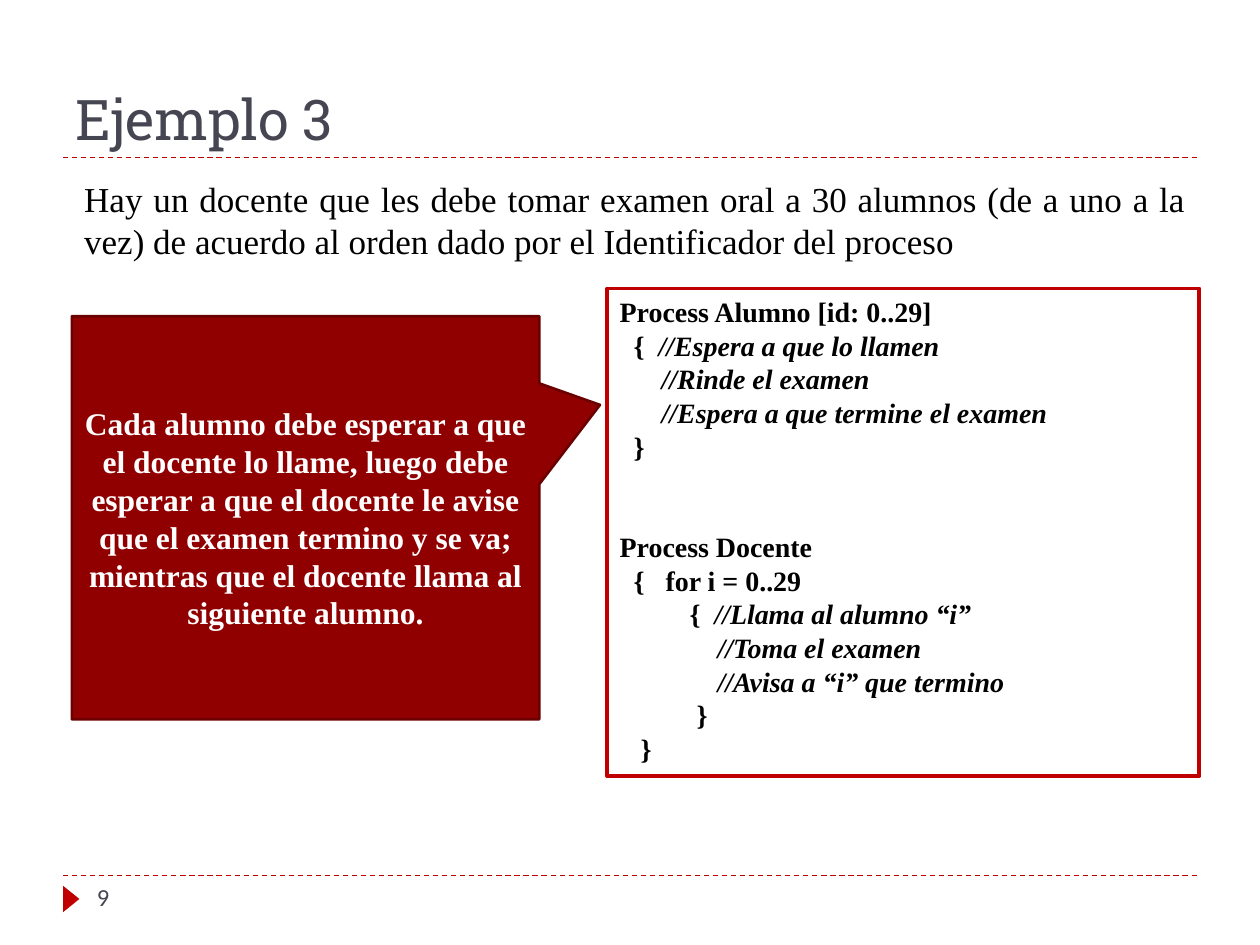
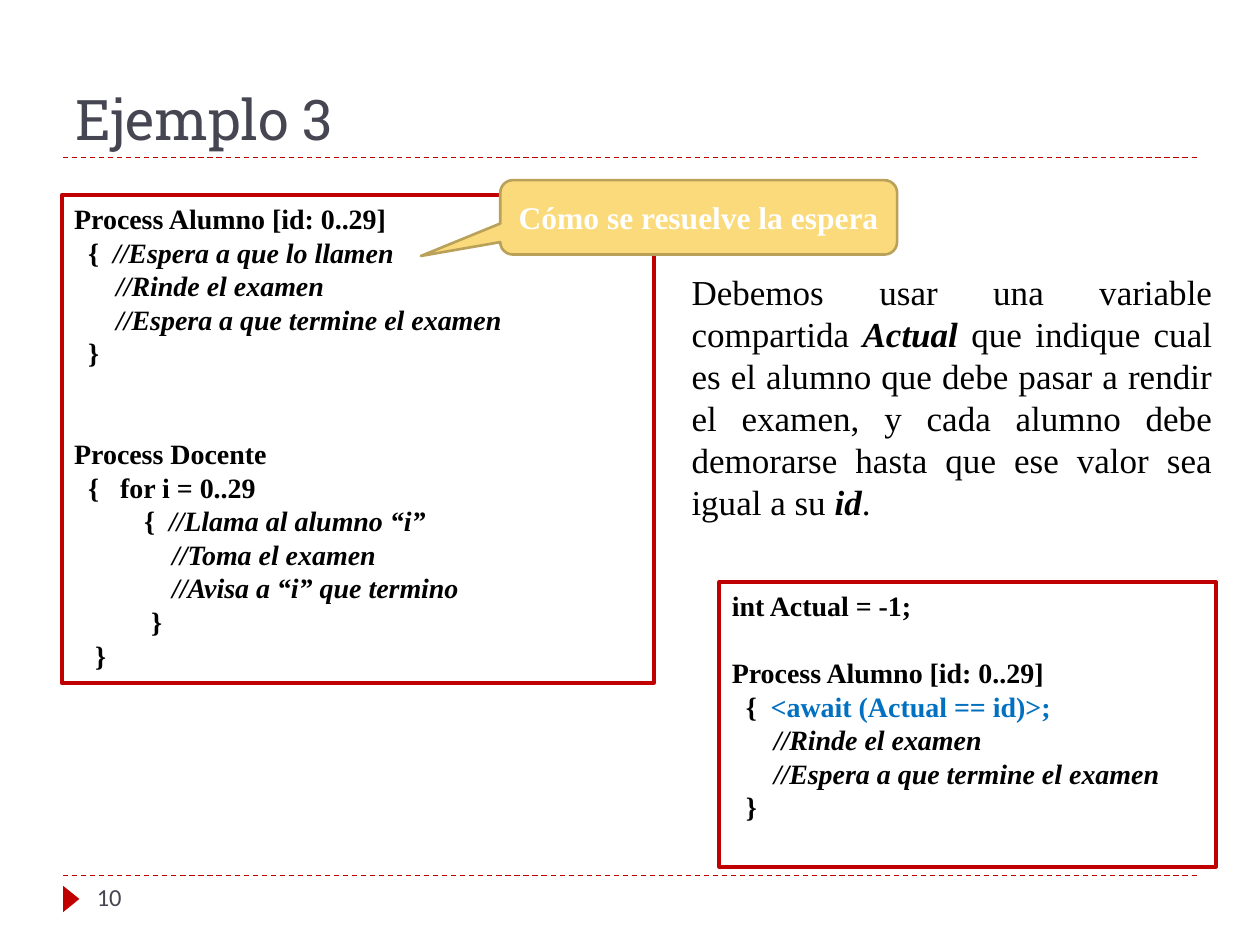
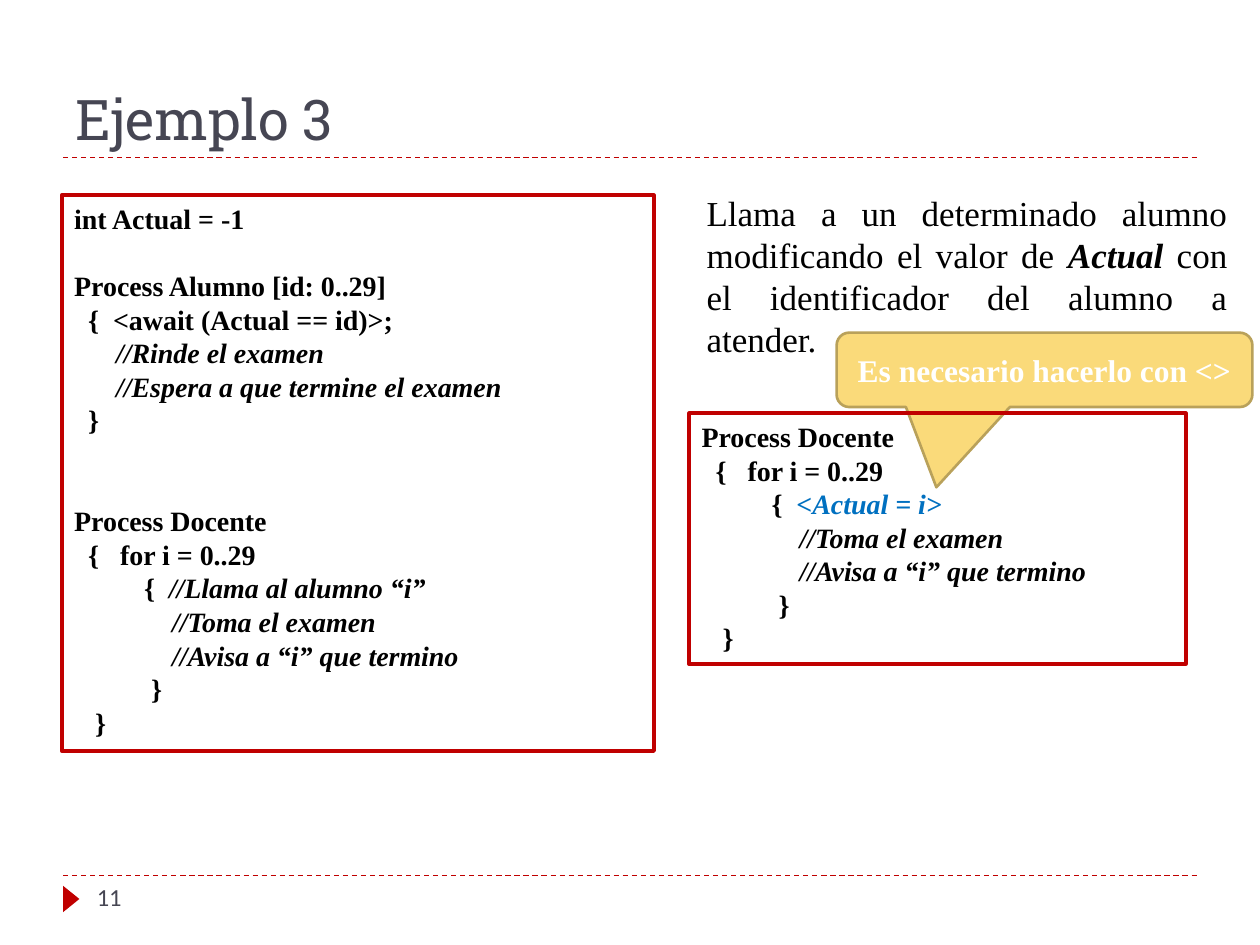
from dataclasses import dataclass

from lxml.etree import SubElement
from pptx import Presentation
from pptx.dml.color import RGBColor
from pptx.enum.dml import MSO_LINE
from pptx.enum.shapes import MSO_CONNECTOR, MSO_SHAPE
from pptx.enum.text import MSO_ANCHOR, PP_ALIGN
from pptx.oxml.ns import qn
from pptx.shapes.autoshape import Shape
from pptx.slide import Slide
from pptx.text.text import TextFrame
from pptx.util import Inches, Pt

COLS, ROWS = 100, 75
WIDTH, HEIGHT = Inches(10), Inches(7.5)
FIRST_NUMBER = 9


@dataclass(frozen=True)
class Theme:
    accent: str = "C00000"
    heading: str = "464653"
    ink: str = "000000"
    highlight: str = "0070C0"
    light: str = "FFFFFF"
    red: str = "900000"
    red_edge: str = "6B0000"
    yellow: str = "FADA7A"
    yellow_edge: str = "B9A15A"
    title_font: str = "Roboto Slab"
    body_font: str = "Times New Roman"
    number_font: str = "Calibri"
    title_size: int = 32
    prose_size: int = 20
    callout_size: int = 18
    code_size: int = 16
    number_size: int = 14
    line_pitch: float = 1.2
    space_width: float = 0.25
    brace_width: float = 0.39
    rule_width: float = 0.75
    callout_edge_width: float = 1.5
    code_edge_width: float = 2.25


T = Theme()


@dataclass(frozen=True)
class Box:
    """A place on the grid of COLS by ROWS."""
    col: float
    row: float
    cols: float
    rows: float

    def emu(self) -> tuple[int, int, int, int]:
        return x(self.col), y(self.row), x(self.cols), y(self.rows)


@dataclass(frozen=True)
class Run:
    text: str
    bold: bool = False
    italic: bool = False
    color: str = T.ink


@dataclass(frozen=True)
class CodeLine:
    """Indent and gap count characters; blanks counts the empty rows above."""
    runs: tuple[Run, ...]
    indent: int = 0
    gap: int = 0
    blanks: int = 0


@dataclass(frozen=True)
class Code:
    box: Box
    lines: tuple[CodeLine, ...]


@dataclass(frozen=True)
class Prose:
    box: Box
    runs: tuple[Run, ...]


@dataclass(frozen=True)
class Callout:
    box: Box
    text: str
    tip: tuple[float, ...]
    shape: MSO_SHAPE = MSO_SHAPE.ROUNDED_RECTANGULAR_CALLOUT
    fill: str = T.yellow
    edge: str = T.yellow_edge


@dataclass(frozen=True)
class Page:
    title: str
    items: tuple[Code | Prose | Callout, ...]


def x(col: float) -> int:
    return round(WIDTH * col / COLS)


def y(row: float) -> int:
    return round(HEIGHT * row / ROWS)


def code(text: str, indent: int = 0, blanks: int = 0) -> CodeLine:
    return CodeLine((Run(text, bold=True),), indent, blanks=blanks)


def note(text: str, indent: int) -> CodeLine:
    return CodeLine((Run(text, bold=True, italic=True),), indent)


def opening(indent: int, *runs: Run, gap: int = 2) -> CodeLine:
    """A brace, then the runs at a hanging indent."""
    return CodeLine((Run("{\t", bold=True), *runs), indent, gap)


def add_run(p, run: Run, size: int, font: str) -> None:
    r = p.add_run()
    r.text = run.text
    f = r.font
    f.name, f.size, f.bold, f.italic = font, Pt(size), run.bold, run.italic
    f.color.rgb = RGBColor.from_string(run.color)


def add_text(slide: Slide, box: Box, runs: tuple[Run, ...], size: int, font: str,
             align: PP_ALIGN = PP_ALIGN.LEFT,
             anchor: MSO_ANCHOR = MSO_ANCHOR.TOP) -> None:
    tf = slide.shapes.add_textbox(*box.emu()).text_frame
    tf.word_wrap = True
    tf.vertical_anchor = anchor
    p = tf.paragraphs[0]
    p.alignment = align
    for run in runs:
        add_run(p, run, size, font)


def add_shape(slide: Slide, kind: MSO_SHAPE, box: Box, fill: str | None = None,
              edge: str | None = None, edge_width: float = 0) -> Shape:
    sp = slide.shapes.add_shape(kind, *box.emu())
    sp.shadow.inherit = False
    for part, color in ((sp.fill, fill), (sp.line.fill, edge)):
        if color:
            part.solid()
            part.fore_color.rgb = RGBColor.from_string(color)
        else:
            part.background()
    if edge:
        sp.line.width = Pt(edge_width)
    return sp


def add_rule(slide: Slide, row: float) -> None:
    margin = 5
    line = slide.shapes.add_connector(
        MSO_CONNECTOR.STRAIGHT, x(margin), y(row), x(COLS - margin), y(row))
    line.line.color.rgb = RGBColor.from_string(T.accent)
    line.line.width = Pt(T.rule_width)
    line.line.dash_style = MSO_LINE.DASH
    SubElement(line._element.spPr, qn("a:effectLst"))


def draw_frame(slide: Slide, title: str, number: int) -> None:
    """Rules, marker, title and page number."""
    for row in (69.5, 12.5):
        add_rule(slide, row)
    marker = add_shape(slide, MSO_SHAPE.ISOSCELES_TRIANGLE,
                       Box(4.6, 70.7, 2.1, 1.3), T.accent)
    marker.rotation = 90
    add_text(slide, Box(5, 1.7, 89.7, 10.8), (Run(title, color=T.heading),),
             T.title_size, T.title_font, anchor=MSO_ANCHOR.BOTTOM)
    add_text(slide, Box(6.7, 69.5, 21.7, 4), (Run(str(number), color=T.heading),),
             T.number_size, T.number_font)


def fill_code(tf: TextFrame, lines: tuple[CodeLine, ...]) -> None:
    space = T.code_size * T.space_width
    brace = T.code_size * T.brace_width
    for i, line in enumerate(lines):
        p = tf.paragraphs[0] if i == 0 else tf.add_paragraph()
        p.alignment = PP_ALIGN.JUSTIFY
        p.space_before = Pt(line.blanks * T.code_size * T.line_pitch)
        hang = brace + line.gap * space if line.gap else 0
        pPr = p._p.get_or_add_pPr()
        pPr.set("marL", str(Pt(line.indent * space + hang)))
        pPr.set("indent", str(-Pt(hang)))
        for run in line.runs:
            add_run(p, run, T.code_size, T.body_font)


def draw_code(slide: Slide, item: Code) -> None:
    sp = add_shape(slide, MSO_SHAPE.RECTANGLE, item.box,
                   edge=T.accent, edge_width=T.code_edge_width)
    tf = sp.text_frame
    tf.word_wrap = True
    tf.vertical_anchor = MSO_ANCHOR.TOP
    fill_code(tf, item.lines)


def draw_callout(slide: Slide, item: Callout) -> None:
    sp = add_shape(slide, item.shape, item.box, item.fill, item.edge,
                   T.callout_edge_width)
    for i, value in enumerate(item.tip):
        sp.adjustments[i] = value
    tf = sp.text_frame
    tf.word_wrap = True
    tf.vertical_anchor = MSO_ANCHOR.MIDDLE
    p = tf.paragraphs[0]
    p.alignment = PP_ALIGN.CENTER
    add_run(p, Run(item.text, bold=True, color=T.light), T.callout_size, T.body_font)


def draw_prose(slide: Slide, item: Prose) -> None:
    add_text(slide, item.box, item.runs, T.prose_size, T.body_font, PP_ALIGN.JUSTIFY)


DRAW = {Code: draw_code, Callout: draw_callout, Prose: draw_prose}

AWAIT = "<await (Actual == id)>;"
STUDENT = "Process Alumno [id: 0..29]"
TEACHER = "Process Docente"
STUDENT_END = (
    note("//Rinde el examen", 6),
    note("//Espera a que termine el examen", 6),
    code("}", 2),
)
STUDENT_WAITS = (
    code(STUDENT),
    opening(2, Run("//Espera a que lo llamen", bold=True, italic=True)),
    *STUDENT_END,
)
TEACHER_LOOP = opening(2, Run("for i = 0..29", bold=True), gap=3)
TEACHER_END = (
    note("//Toma el examen", 14),
    note("//Avisa a “i” que termino", 14),
    code("}", 11),
    code("}", 3),
)
TEACHER_CALLS = (
    code(TEACHER, blanks=2),
    TEACHER_LOOP,
    opening(10, Run("//Llama al alumno “i”", bold=True, italic=True)),
    *TEACHER_END,
)
OUTLINE = STUDENT_WAITS + TEACHER_CALLS


def student_awaits(declaration: str, color: str) -> tuple[CodeLine, ...]:
    return (
        code(declaration),
        code(STUDENT, blanks=1),
        opening(2, Run(AWAIT, bold=True, color=color)),
        *STUDENT_END,
    )


TEACHER_SETS = (
    code(TEACHER),
    TEACHER_LOOP,
    opening(10, Run("<", bold=True, color=T.highlight),
            Run("Actual = i>", bold=True, italic=True, color=T.highlight)),
    *TEACHER_END,
)

PAGES = (
    Page("Ejemplo 3", (
        Code(Box(48.2, 22.9, 47, 38.7), OUTLINE),
        Prose(Box(5.7, 13.6, 89.4, 7.7), (
            Run("Hay un docente que les debe tomar examen oral a 30 alumnos "
                "(de a uno a la vez) de acuerdo al orden dado por el "
                "Identificador del proceso"),
        )),
        Callout(Box(5.7, 25.1, 37.1, 32),
                "Cada alumno debe esperar a que el docente lo llame, luego debe "
                "esperar a que el docente le avise que el examen termino y se va; "
                "mientras que el docente llama al siguiente alumno.",
                (0.63, -0.28), MSO_SHAPE.RECTANGULAR_CALLOUT, T.red, T.red_edge),
    )),
    Page("Ejemplo 3", (
        Code(Box(4.9, 15.5, 47, 38.7), OUTLINE),
        Callout(Box(39.7, 14.3, 31.5, 5.9), "Cómo se resuelve la espera",
                (-0.7, 0.52, 0.17)),
        Prose(Box(53.9, 21, 43.3, 21.2), (
            Run("Debemos usar una variable compartida "),
            Run("Actual ", bold=True, italic=True),
            Run("que indique cual es el alumno que debe pasar a rendir el "
                "examen, y cada alumno debe demorarse hasta que ese valor sea "
                "igual a su "),
            Run("id", bold=True, italic=True),
            Run("."),
        )),
        Code(Box(57.1, 46.2, 39.4, 22.6),
             student_awaits("int Actual = -1;", T.highlight)),
    )),
    Page("Ejemplo 3", (
        Code(Box(4.9, 15.5, 47, 44.1),
             student_awaits("int Actual = -1", T.ink) + TEACHER_CALLS),
        Callout(Box(66.4, 26.4, 33, 5.9), "Es necesario hacerlo con <>",
                (-0.26, 1.58, 0.17)),
        Prose(Box(55.1, 14.7, 43.3, 11.1), (
            Run("Llama a un determinado alumno modificando el valor de "),
            Run("Actual", bold=True, italic=True),
            Run(" con el identificador del alumno a atender."),
        )),
        Code(Box(54.7, 32.8, 39.4, 19.9), TEACHER_SETS),
    )),
)


def main() -> None:
    prs = Presentation()
    prs.slide_width, prs.slide_height = WIDTH, HEIGHT
    blank = prs.slide_layouts[6]
    for number, page in enumerate(PAGES, FIRST_NUMBER):
        slide = prs.slides.add_slide(blank)
        draw_frame(slide, page.title, number)
        for item in page.items:
            DRAW[type(item)](slide, item)
    prs.save("out.pptx")


if __name__ == "__main__":
    main()
